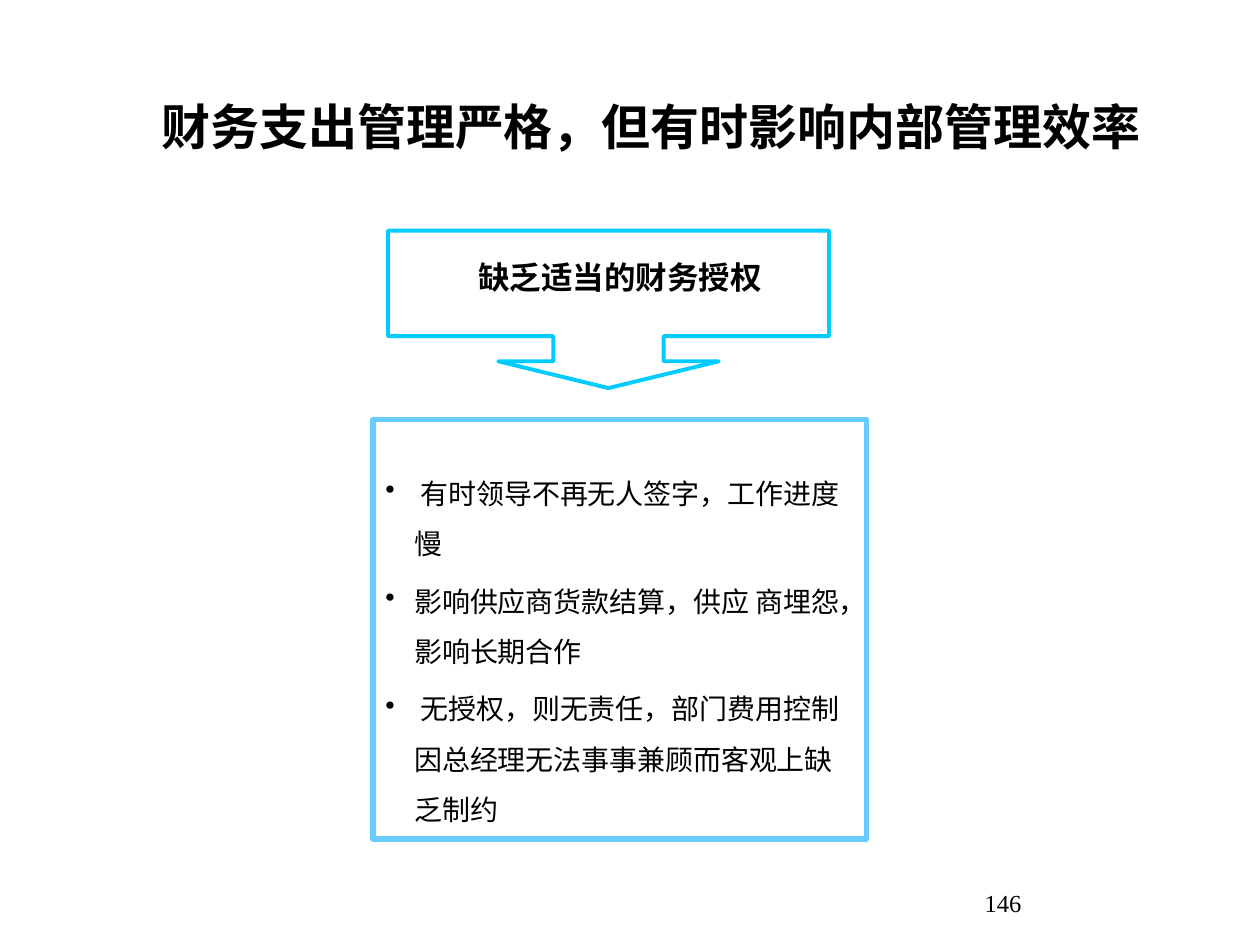
from lxml import etree
from pptx import Presentation
from pptx import util as u
from pptx.dml.color import RGBColor
from pptx.enum import shapes, text
from pptx.oxml.ns import qn

FONT = "Times New Roman"
COLORS = {"ink": "000000", "callout": "00CCFF", "frame": "66CCFF"}
FINDINGS = [
    " 有时领导不再无人签字，工作进度慢",
    "影响供应商货款结算，供应 商埋怨，影响长期合作",
    " 无授权，则无责任，部门费用控制因总经理无法事事兼顾而客观上缺乏制约",
]


def color(name):
    return RGBColor.from_string(COLORS[name])


def place(shape, left, top, width, height):
    shape.left, shape.top = u.Inches(left), u.Inches(top)
    shape.width, shape.height = u.Inches(width), u.Inches(height)


def add_bullet(para, indent):
    props = para._p.get_or_add_pPr()
    props.set("marL", str(u.Inches(indent)))
    props.set("indent", str(-u.Inches(indent)))
    etree.SubElement(props, qn("a:buChar")).set("char", "•")


def write(shape, lines, size, bold=False, align=text.PP_ALIGN.CENTER,
          anchor=text.MSO_ANCHOR.TOP, spacing=None, gap=0, bullet_indent=None):
    """Fill a shape with one paragraph per line."""
    frame = shape.text_frame
    frame.word_wrap = True
    frame.vertical_anchor = anchor
    for index, line in enumerate(lines):
        para = frame.add_paragraph() if index else frame.paragraphs[0]
        if bullet_indent:
            add_bullet(para, bullet_indent)
        para.alignment = align
        if spacing:
            para.line_spacing = spacing
        if index:
            para.space_before = u.Pt(gap)
        span = para.add_run()
        span.text = line
        span.font.name, span.font.size = FONT, u.Pt(size)
        span.font.bold = bold
        span.font.color.rgb = color("ink")


def add_outline(page, kind, bounds, line, weight):
    """Add an unfilled preset shape."""
    shape = page.shapes.add_shape(kind, *map(u.Inches, bounds))
    shape.shadow.inherit = False
    shape.fill.background()
    shape.line.color.rgb = color(line)
    shape.line.width = u.Pt(weight)
    return shape


def add_label(page, bounds, label, size, bold=False):
    box = page.shapes.add_textbox(*map(u.Inches, bounds))
    write(box, [label], size, bold=bold)


def main():
    deck = Presentation()
    deck.slide_width, deck.slide_height = u.Inches(10), u.Inches(7.5)
    page = deck.slides.add_slide(deck.slide_layouts[5])

    # Title
    title = page.shapes.title
    place(title, 0.75, 0.5, 8.83, 1)
    write(title, ["财务支出管理严格，但有时影响内部管理效率"], 28, bold=True,
          anchor=text.MSO_ANCHOR.MIDDLE)

    # Findings
    findings = add_outline(page, shapes.MSO_SHAPE.RECTANGLE,
                           (2.96, 3.33, 3.92, 3.33), "frame", 3)
    findings.text_frame.margin_top = u.Inches(0.32)
    write(findings, FINDINGS, 16, align=text.PP_ALIGN.LEFT,
          spacing=1.5, gap=4, bullet_indent=0.23)

    # Callout pointing to the findings
    callout = add_outline(page, shapes.MSO_SHAPE.DOWN_ARROW_CALLOUT,
                          (3.08, 1.83, 3.5, 1.25), "callout", 2.25)
    for index, value in enumerate((0.7, 0.7, 0.17, 0.67)):
        callout.adjustments[index] = value
    add_label(page, (3.42, 2, 3, 0.4), "缺乏适当的财务授权", 18, bold=True)

    # Page number
    add_label(page, (6.42, 7, 3.08, 0.25), "146", 14)

    deck.save("out.pptx")


if __name__ == "__main__":
    main()
